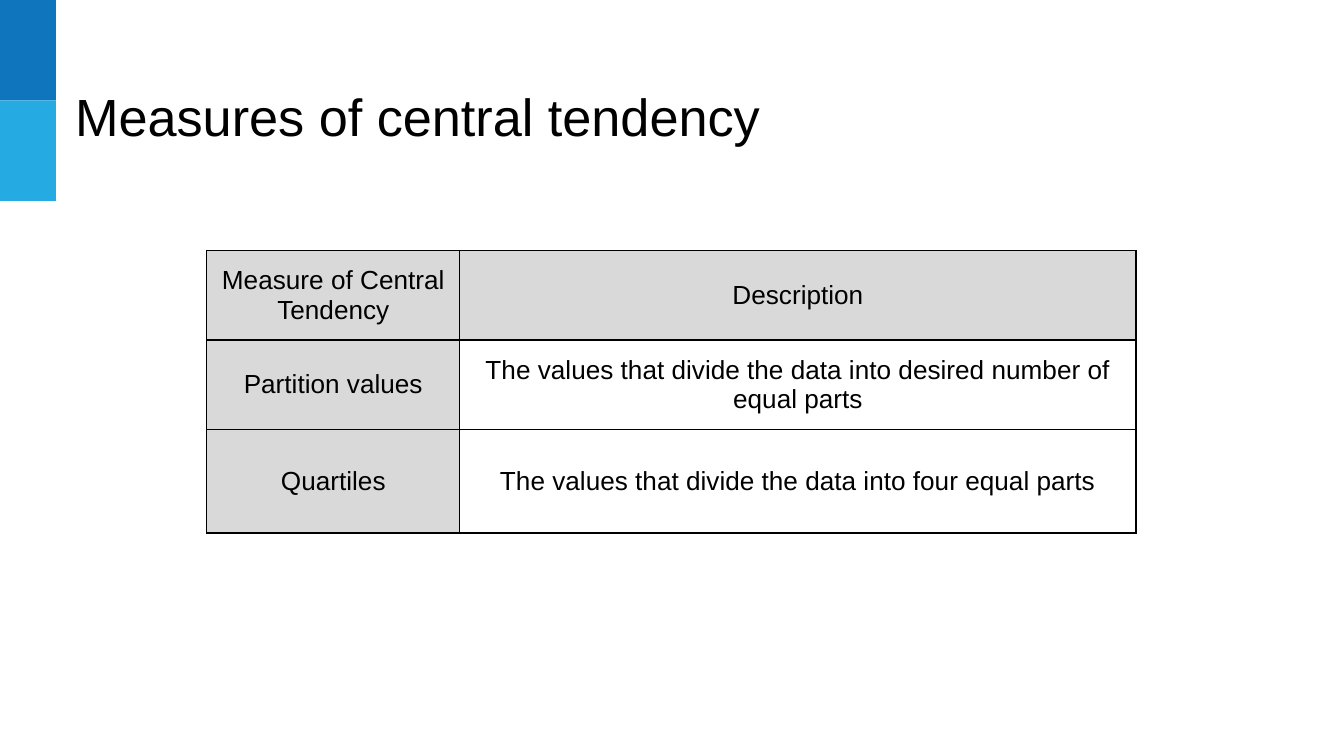
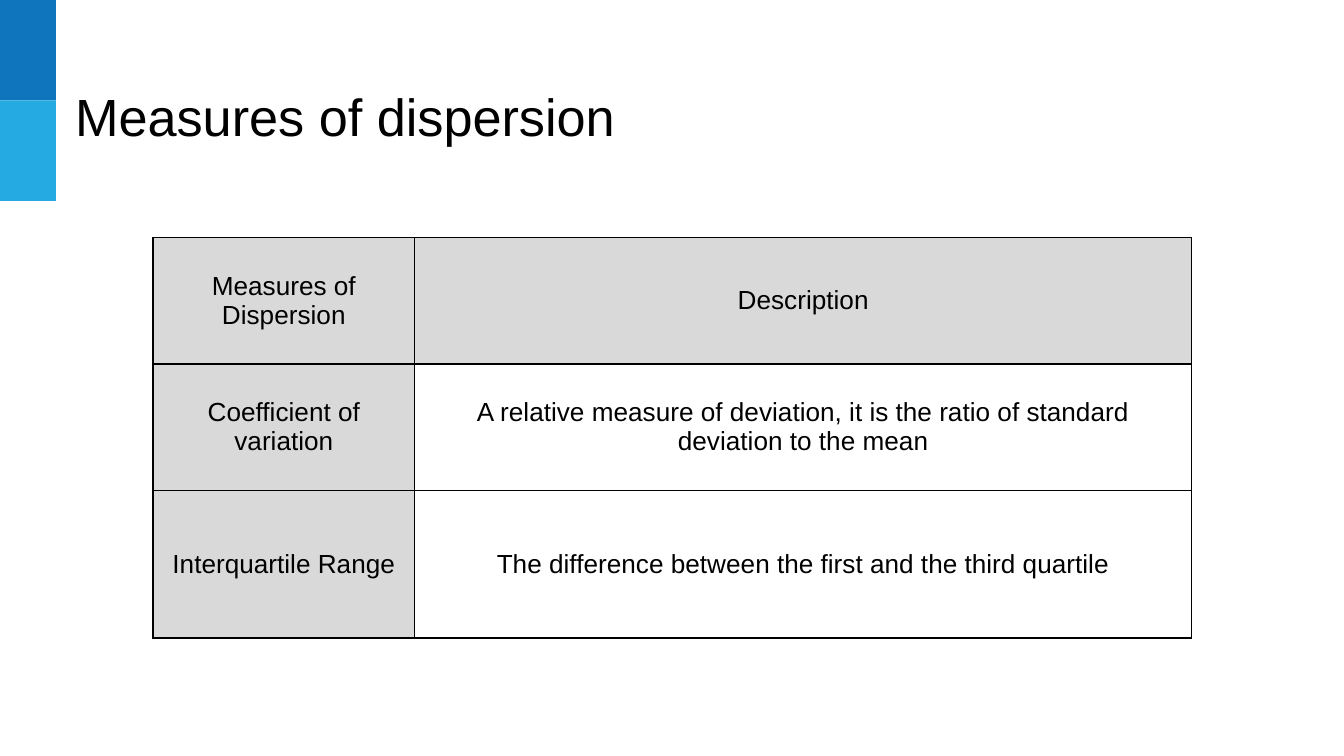
from dataclasses import dataclass

from lxml.etree import SubElement
from pptx import Presentation
from pptx.dml.color import RGBColor
from pptx.enum.shapes import MSO_SHAPE
from pptx.enum.text import MSO_ANCHOR, PP_ALIGN
from pptx.oxml.ns import qn
from pptx.util import Cm, Pt


@dataclass(frozen=True)
class Theme:
    font: str = "Arial"
    ink: str = "000000"
    band_dark: str = "0F75BD"
    band_light: str = "25AAE2"
    label_fill: str = "D9D9D9"
    title_size: int = 28
    cell_size: int = 14
    border_width: float = 0.75
    inset: float = 0.25


THEME = Theme()
BLANK_LAYOUT = 6


def add_run(paragraph, text, size):
    run = paragraph.add_run()
    run.text = text
    run.font.name = THEME.font
    run.font.size = Pt(size)
    run.font.color.rgb = RGBColor.from_string(THEME.ink)


def add_side_bands(slide):
    width, height = 1.06, 1.9
    bands = slide.shapes.add_group_shape()
    for position, color in enumerate((THEME.band_dark, THEME.band_light)):
        band = bands.shapes.add_shape(
            MSO_SHAPE.RECTANGLE, 0, Cm(position * height), Cm(width), Cm(height)
        )
        band.shadow.inherit = False
        band.fill.solid()
        band.fill.fore_color.rgb = RGBColor.from_string(color)
        band.line.fill.background()


def add_title(slide, text):
    title = slide.shapes.add_textbox(Cm(1.17), Cm(1.24), Cm(18.72), Cm(1.6))
    frame = title.text_frame
    frame.word_wrap = True
    frame.vertical_anchor = MSO_ANCHOR.TOP
    frame.margin_left = frame.margin_right = frame.margin_bottom = Cm(THEME.inset)
    frame.margin_top = Cm(0.36)
    add_run(frame.paragraphs[0], text, THEME.title_size)


def add_cell_borders(cell):
    properties = cell._tc.get_or_add_tcPr()
    for position, side in enumerate(("a:lnL", "a:lnR", "a:lnT", "a:lnB")):
        border = properties.makeelement(
            qn(side), {"w": str(Pt(THEME.border_width))}
        )
        fill = SubElement(border, qn("a:solidFill"))
        SubElement(fill, qn("a:srgbClr"), val=THEME.ink)
        properties.insert(position, border)


def fill_cell(cell, text, is_label):
    cell.vertical_anchor = MSO_ANCHOR.MIDDLE
    cell.margin_left = cell.margin_right = Cm(THEME.inset)
    cell.margin_top = cell.margin_bottom = Cm(THEME.inset)
    if is_label:
        cell.fill.solid()
        cell.fill.fore_color.rgb = RGBColor.from_string(THEME.label_fill)
    else:
        cell.fill.background()
    add_cell_borders(cell)
    paragraph = cell.text_frame.paragraphs[0]
    paragraph.alignment = PP_ALIGN.CENTER
    add_run(paragraph, text, THEME.cell_size)


def add_measure_table(slide, left, top, widths, heights, rows):
    table = slide.shapes.add_table(
        len(heights), len(widths), Cm(left), Cm(top), Cm(sum(widths)), Cm(sum(heights))
    ).table
    table.first_row = False
    table.horz_banding = False
    for column, width in zip(table.columns, widths):
        column.width = Cm(width)
    for row, height in zip(table.rows, heights):
        row.height = Cm(height)
    for r, texts in enumerate(rows):
        for c, text in enumerate(texts):
            fill_cell(table.cell(r, c), text, is_label=r == 0 or c == 0)


def add_measure_slide(deck, title, **table):
    slide = deck.slides.add_slide(deck.slide_layouts[BLANK_LAYOUT])
    add_side_bands(slide)
    add_title(slide, title)
    add_measure_table(slide, **table)


def main():
    deck = Presentation()
    deck.slide_width, deck.slide_height = Cm(25.4), Cm(14.29)
    add_measure_slide(
        deck,
        "Measures of central tendency",
        left=3.91,
        top=4.74,
        widths=(4.78, 12.78),
        heights=(1.65, 1.55, 1.96),
        rows=(
            ("Measure of Central Tendency", "Description"),
            (
                "Partition values",
                "The values that divide the data into desired number of equal parts",
            ),
            ("Quartiles", "The values that divide the data into four equal parts"),
        ),
    )
    add_measure_slide(
        deck,
        "Measures of dispersion",
        left=2.89,
        top=4.49,
        widths=(4.95, 14.68),
        heights=(2.39, 2.39, 2.79),
        rows=(
            ("Measures of Dispersion", "Description"),
            (
                "Coefficient of variation",
                "A relative measure of deviation, it is the ratio of standard "
                "deviation to the mean",
            ),
            (
                "Interquartile Range",
                "The difference between the first and the third quartile",
            ),
        ),
    )
    deck.save("out.pptx")


if __name__ == "__main__":
    main()
